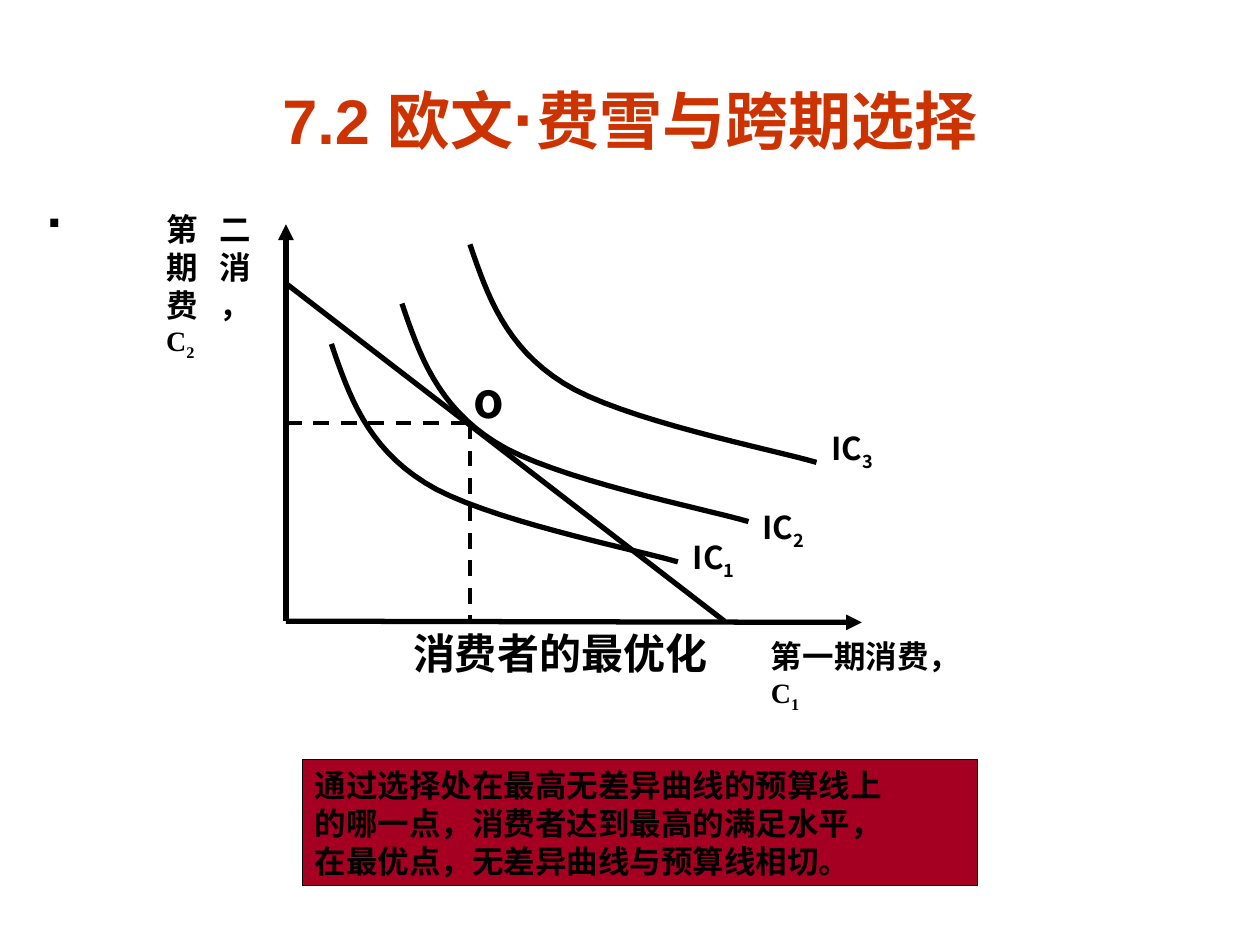
from lxml import etree
from pptx import Presentation
from pptx.dml.color import RGBColor
from pptx.enum.dml import MSO_LINE
from pptx.enum.shapes import MSO_CONNECTOR, MSO_SHAPE
from pptx.enum.text import MSO_ANCHOR, MSO_AUTO_SIZE, PP_ALIGN
from pptx.oxml.ns import qn
from pptx.util import Inches, Pt

STRAIGHT = MSO_CONNECTOR.STRAIGHT
RECTANGLE = MSO_SHAPE.RECTANGLE
DASH = MSO_LINE.DASH
MIDDLE, TOP = MSO_ANCHOR.MIDDLE, MSO_ANCHOR.TOP
NO_FIT = MSO_AUTO_SIZE.NONE
LEFT, CENTER, JUSTIFY = PP_ALIGN.LEFT, PP_ALIGN.CENTER, PP_ALIGN.JUSTIFY

BLACK, ORANGE, RED = "000000", "CC3300", "A50021"
SANS, CHINESE, SERIF = "Arial", "Noto Sans CJK SC", "Times New Roman"

ORIGIN_X, ORIGIN_Y = 2.27, 4.93
OPTIMUM_X, OPTIMUM_Y = 3.73, 3.36
CURVE_STEPS = 16
CURVE_BENDS = [
    [(0, 0), (0.14, 0.41), (0.28, 0.81), (0.74, 1.1)],
    [(0.74, 1.1), (1.19, 1.39), (2.41, 1.63), (2.75, 1.73)],
]
CURVE_STARTS = [(2.63, 2.73), (3.73, 1.94), (3.19, 2.41)]
CURVE_LABELS = [("1", 5.4, 4.22), ("2", 5.95, 3.98), ("3", 6.5, 3.36)]
SUMMARY = [
    "通过选择处在最高无差异曲线的预算线上",
    "的哪一点，消费者达到最高的满足水平，",
    "在最优点，无差异曲线与预算线相切。",
]


def color(value):
    return RGBColor.from_string(value)


def place(shape, left, top, width, height):
    shape.left, shape.top = Inches(left), Inches(top)
    shape.width, shape.height = Inches(width), Inches(height)


def add_span(para, text, size, font=SANS, fill=BLACK, subscript=False):
    span = para.add_run()
    span.text = text
    span.font.size = Pt(size)
    span.font.bold = True
    span.font.name = font
    span.font.color.rgb = color(fill)
    properties = span.font._element
    etree.SubElement(properties, qn("a:ea")).set("typeface", CHINESE)
    if subscript:
        properties.set("baseline", "-25000")


def set_frame(shape, anchor=TOP, wrap=True):
    frame = shape.text_frame
    frame.word_wrap = wrap
    frame.auto_size = NO_FIT
    frame.vertical_anchor = anchor
    return frame


def add_label(slide, left, top, width, height, spans, align=LEFT, wrap=True):
    box = slide.shapes.add_textbox(
        Inches(left), Inches(top), Inches(width), Inches(height))
    para = set_frame(box, wrap=wrap).paragraphs[0]
    para.alignment = align
    for span in spans:
        add_span(para, *span)


def add_line(slide, start, end, width=3, arrow=False, dashed=False):
    line = slide.shapes.add_connector(
        STRAIGHT, *(Inches(value) for value in (*start, *end)))
    line.line.color.rgb = color(BLACK)
    line.line.width = Pt(width)
    if dashed:
        line.line.dash_style = DASH
    if arrow:
        etree.SubElement(line.line._get_or_add_ln(), qn("a:tailEnd")).set("type", "triangle")
    etree.SubElement(line._element.spPr, qn("a:effectLst"))


def bezier_point(bend, t):
    weights = ((1 - t) ** 3, 3 * t * (1 - t) ** 2, 3 * t ** 2 * (1 - t), t ** 3)
    return tuple(sum(weight * point[axis] for weight, point in zip(weights, bend))
                 for axis in (0, 1))


def add_indifference_curve(slide, left, top):
    points = [bezier_point(bend, step / CURVE_STEPS)
              for bend in CURVE_BENDS for step in range(1, CURVE_STEPS + 1)]
    builder = slide.shapes.build_freeform(Inches(left), Inches(top))
    builder.add_line_segments(
        [(Inches(left + x), Inches(top + y)) for x, y in points], close=False)
    curve = builder.convert_to_shape()
    curve.shadow.inherit = False
    curve.fill.background()
    curve.line.color.rgb = color(BLACK)
    curve.line.width = Pt(3)


def add_title(slide):
    title = slide.shapes.title
    place(title, 0.5, 0.3, 9, 1.25)
    para = set_frame(title, MIDDLE).paragraphs[0]
    para.alignment = CENTER
    for text, size in [("7.2 欧文", 36), ("·", 40), ("费雪与跨期选择", 36)]:
        add_span(para, text, size, fill=ORANGE)


def add_body(slide):
    body = slide.placeholders[1]
    place(body, 0.27, 1.31, 9, 4.49)
    para = set_frame(body).paragraphs[0]
    para.alignment = JUSTIFY
    para.space_before = Pt(0)
    properties = para._p.get_or_add_pPr()
    properties.set("marL", str(Inches(0.38)))
    properties.set("indent", str(Inches(-0.38)))
    etree.SubElement(properties, qn("a:buNone"))
    add_span(para, ".", 32)


def add_diagram(slide):
    origin, optimum = (ORIGIN_X, ORIGIN_Y), (OPTIMUM_X, OPTIMUM_Y)
    add_line(slide, origin, (6.84, 4.94), arrow=True)
    add_line(slide, origin, (ORIGIN_X, 1.78), arrow=True)
    for left, top in CURVE_STARTS:
        add_indifference_curve(slide, left, top)
    add_line(slide, (ORIGIN_X, 2.25), (5.75, ORIGIN_Y))
    add_line(slide, optimum, (OPTIMUM_X, ORIGIN_Y), 2.25, dashed=True)
    add_line(slide, (ORIGIN_X, OPTIMUM_Y), optimum, 2.25, dashed=True)


def add_labels(slide):
    add_label(slide, 3.66, 2.88, 0.46, 0.47, [("o", 28, CHINESE)], JUSTIFY)
    for text, number, bounds in [("第二期消费， ", "2", (1.22, 1.62, 0.87, 1.46)),
                                 ("第一期消费， ", "1", (6.02, 5.01, 1.7, 0.63))]:
        add_label(slide, *bounds, [(text, 18), ("C", 16, SERIF),
                                   (number, 16, SERIF, BLACK, True)], JUSTIFY)
    add_label(slide, 3.18, 4.93, 2.53, 0.5, [("消费者的最优化", 24)], wrap=False)
    for number, left, top in CURVE_LABELS:
        add_label(slide, left, top, 0.54, 0.44,
                  [("IC", 18, CHINESE), (number, 18, CHINESE, BLACK, True)], wrap=False)


def add_summary(slide):
    panel = slide.shapes.add_shape(
        RECTANGLE, Inches(2.4), Inches(6.03), Inches(5.36), Inches(1))
    panel.shadow.inherit = False
    panel.fill.solid()
    panel.fill.fore_color.rgb = color(RED)
    panel.line.color.rgb = color(BLACK)
    panel.line.width = Pt(0.75)
    frame = set_frame(panel, MIDDLE)
    for index, text in enumerate(SUMMARY):
        para = frame.add_paragraph() if index else frame.paragraphs[0]
        para.alignment = LEFT
        add_span(para, text, 18)


def main():
    deck = Presentation()
    deck.slide_width, deck.slide_height = Inches(10), Inches(7.5)
    slide = deck.slides.add_slide(deck.slide_layouts[1])
    add_title(slide)
    add_body(slide)
    add_diagram(slide)
    add_labels(slide)
    add_summary(slide)
    deck.save("out.pptx")


if __name__ == "__main__":
    main()
